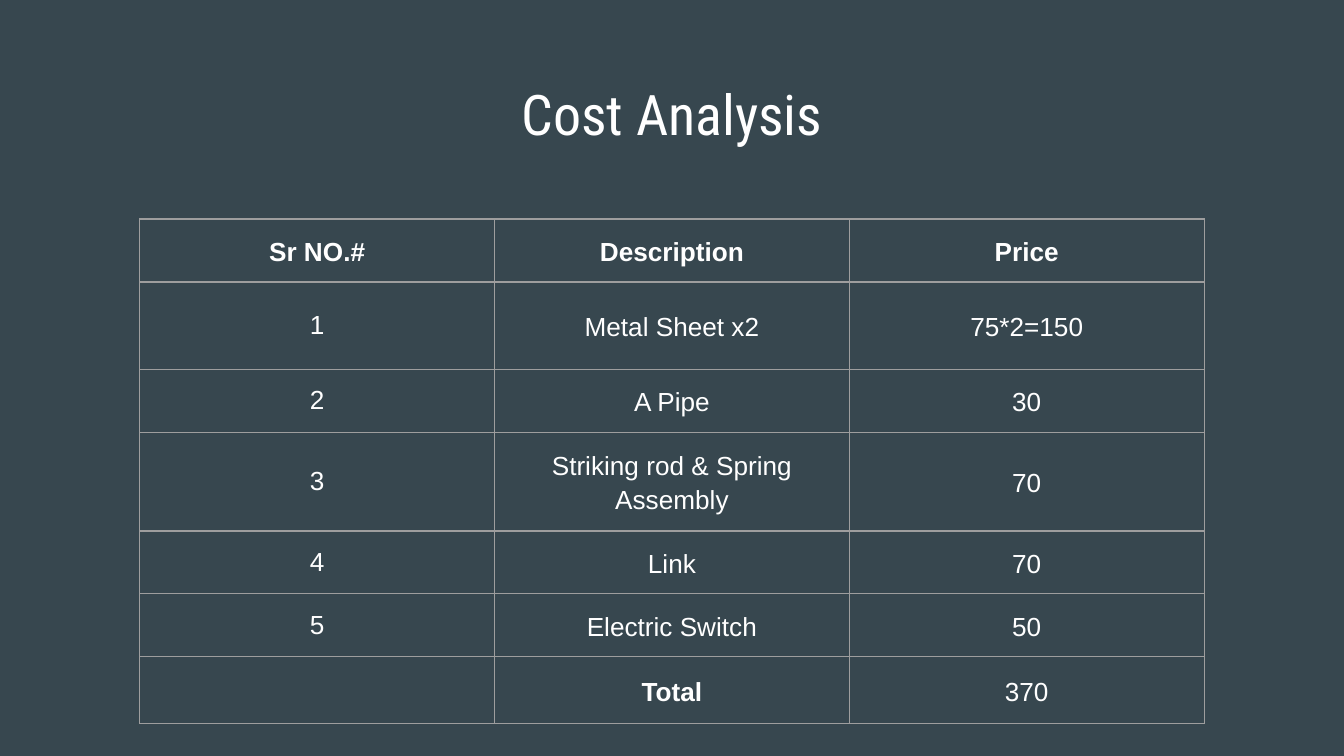
from typing import NamedTuple

from lxml import etree
from pptx import Presentation
from pptx.dml.color import RGBColor
from pptx.enum.text import MSO_ANCHOR, PP_ALIGN
from pptx.oxml.ns import qn
from pptx.util import Emu, Inches, Pt

CENTER = PP_ALIGN.CENTER
TOP = MSO_ANCHOR.TOP
MIDDLE = MSO_ANCHOR.MIDDLE

SLATE = RGBColor(0x37, 0x47, 0x4F)
WHITE = RGBColor(0xFF, 0xFF, 0xFF)
GRAY = RGBColor(0x9E, 0x9E, 0x9E)

# A 16:9 slide
SLIDE_WIDTH = Inches(10)
SLIDE_HEIGHT = Emu(SLIDE_WIDTH * 9 // 16)
INSET = Emu(91425)
COLUMN_WIDTH = Inches(2.64)
ROW_HEIGHT, TALL_ROW_HEIGHT = Inches(0.42), Inches(0.65)
TALL_ROW = 1
FRAME_SIDE = Inches(3.28)
BORDER_WIDTH = Pt(0.75)


class TextStyle(NamedTuple):
    font: str
    size: float
    bold: bool = False
    spacing: float | None = None


class CostItem(NamedTuple):
    number: str
    description: str
    price: str


TITLE = TextStyle("Roboto Condensed", 30)
NUMBER = TextStyle("Arial", 14)
BODY = NUMBER._replace(spacing=1.15)
STRONG = BODY._replace(bold=True)

COSTS = [
    CostItem("Sr NO.#", "Description", "Price"),
    CostItem("1", "Metal Sheet x2", "75*2=150"),
    CostItem("2", "A Pipe", "30"),
    CostItem("3", "Striking rod & Spring Assembly", "70"),
    CostItem("4", "Link", "70"),
    CostItem("5", "Electric Switch", "50"),
    CostItem("", "Total", "370"),
]


def write(frame, text: str, style: TextStyle) -> None:
    """Add one centred, styled run to the frame's first paragraph."""
    paragraph = frame.paragraphs[0]
    paragraph.alignment = CENTER
    if style.spacing:
        paragraph.line_spacing = style.spacing
    run = paragraph.add_run()
    run.text = text
    run.font.name = style.font
    run.font.size = Pt(style.size)
    run.font.bold = style.bold
    run.font.color.rgb = WHITE


def set_insets(target) -> None:
    target.margin_left = target.margin_right = INSET
    target.margin_top = target.margin_bottom = INSET


def add_borders(cell) -> None:
    properties = cell._tc.get_or_add_tcPr()
    for position, side in enumerate(("lnL", "lnR", "lnT", "lnB")):
        line = etree.Element(qn(f"a:{side}"), w=str(BORDER_WIDTH))
        fill = etree.SubElement(line, qn("a:solidFill"))
        etree.SubElement(fill, qn("a:srgbClr"), val=str(GRAY))
        properties.insert(position, line)


def cell_style(row: int, column: int) -> TextStyle:
    if row == 0 or COSTS[row].description == "Total" and column == 1:
        return STRONG
    return NUMBER if column == 0 else BODY


def add_title(slide, text: str) -> None:
    margin = Inches(0.34)
    title = slide.shapes.add_textbox(
        margin, Inches(0.49), SLIDE_WIDTH - 2 * margin, Inches(0.63))
    frame = title.text_frame
    frame.word_wrap = True
    frame.vertical_anchor = TOP
    set_insets(frame)
    write(frame, text, TITLE)


def add_cost_table(slide, items: list[CostItem]) -> None:
    columns = len(CostItem._fields)
    left = (SLIDE_WIDTH - columns * COLUMN_WIDTH) // 2
    graphic_frame = slide.shapes.add_table(
        len(items), columns, left, Inches(1.63), FRAME_SIDE, FRAME_SIDE)
    table = graphic_frame.table
    table.first_row = table.horz_banding = False
    for column in table.columns:
        column.width = COLUMN_WIDTH
    for row, item in enumerate(items):
        table.rows[row].height = TALL_ROW_HEIGHT if row == TALL_ROW else ROW_HEIGHT
        for column, text in enumerate(item):
            cell = table.cell(row, column)
            cell.fill.background()
            cell.vertical_anchor = MIDDLE
            set_insets(cell)
            add_borders(cell)
            if text:
                write(cell.text_frame, text, cell_style(row, column))
    # Rows grow with their text from this nominal square frame
    graphic_frame.width = graphic_frame.height = FRAME_SIDE


def main() -> None:
    presentation = Presentation()
    presentation.slide_width, presentation.slide_height = SLIDE_WIDTH, SLIDE_HEIGHT
    slide = presentation.slides.add_slide(presentation.slide_layouts[6])
    background = slide.background.fill
    background.solid()
    background.fore_color.rgb = SLATE

    # Heading above the itemised costs
    add_title(slide, "Cost Analysis")
    add_cost_table(slide, COSTS)
    presentation.save("out.pptx")


if __name__ == "__main__":
    main()
